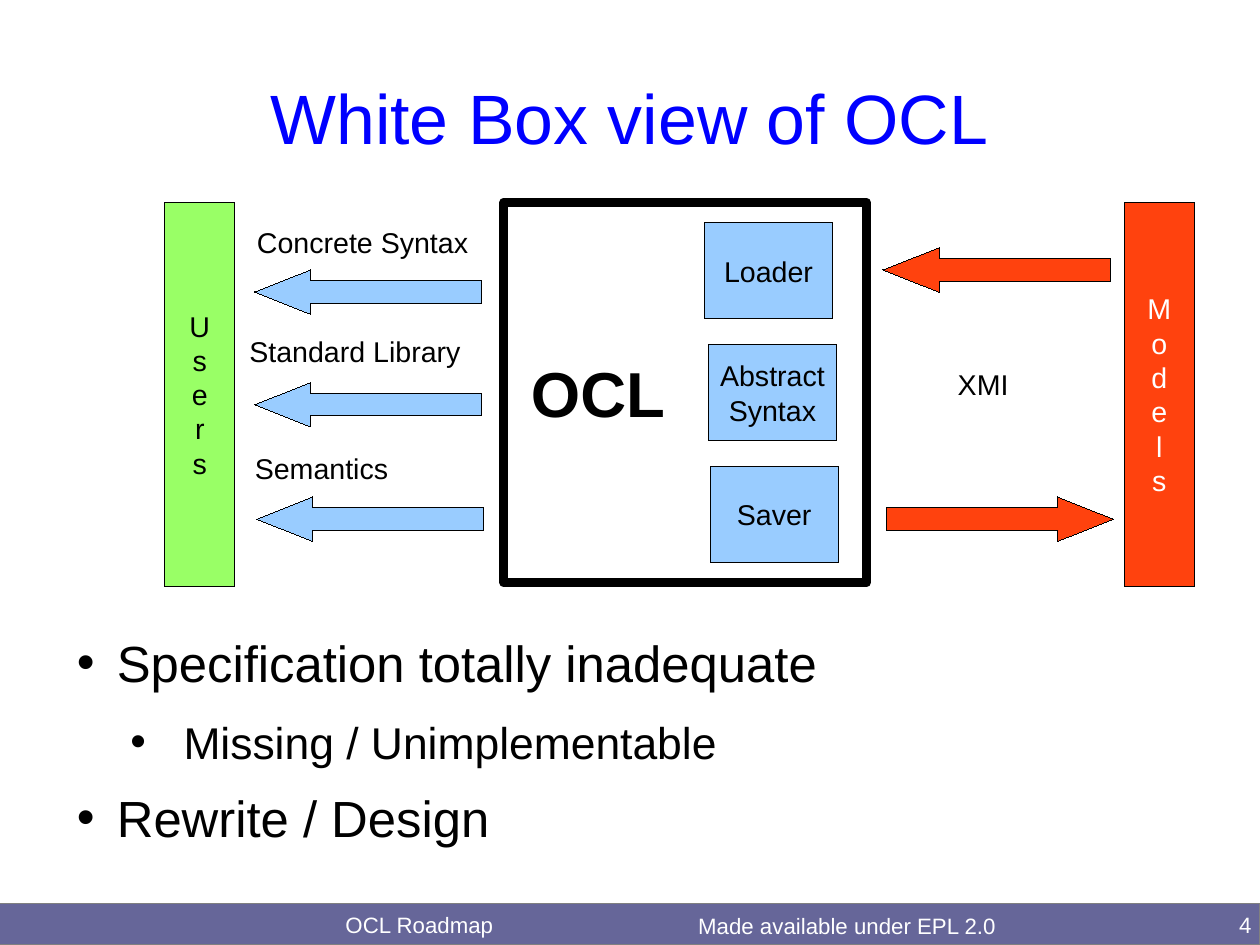
"""Build the slide that shows the white box view of OCL."""
from lxml import etree
from pptx import Presentation
from pptx.dml.color import RGBColor
from pptx.enum.shapes import MSO_SHAPE
from pptx.enum.text import MSO_ANCHOR, PP_ALIGN
from pptx.oxml.ns import qn
from pptx.util import Pt

RECT, LEFT_ARROW, RIGHT_ARROW = MSO_SHAPE.RECTANGLE, MSO_SHAPE.LEFT_ARROW, MSO_SHAPE.RIGHT_ARROW
TOP, MIDDLE = MSO_ANCHOR.TOP, MSO_ANCHOR.MIDDLE
LEFT, CENTER, RIGHT = PP_ALIGN.LEFT, PP_ALIGN.CENTER, PP_ALIGN.RIGHT
HEX = {
    "black": "000000", "white": "FFFFFF", "blue": "0000FF", "sky": "99CCFF",
    "green": "99FF66", "red": "FF420E", "slate": "666699", "gray": "808080",
}
COLOR = {name: RGBColor.from_string(code) for name, code in HEX.items()}


def write(shape, text, size=18, color="black", align=LEFT, anchor=TOP, inset=(7.2, 3.6), bold=False):
    frame = shape.text_frame
    frame.text = text
    frame.word_wrap = True
    frame.vertical_anchor = anchor
    frame.margin_left = frame.margin_right = Pt(inset[0])
    frame.margin_top = frame.margin_bottom = Pt(inset[1])
    for para in frame.paragraphs:
        para.alignment = align
        for run in para.runs:
            run.font.name = "Arial"
            run.font.size = Pt(size)
            run.font.bold = bold
            run.font.color.rgb = COLOR[color]


def draw(kind, box, fill, line="black", width=0.01):
    shape = slide.shapes.add_shape(kind, *map(Pt, box))
    shape.shadow.inherit = False
    shape.fill.solid()
    shape.fill.fore_color.rgb = COLOR[fill]
    shape.line.color.rgb = COLOR[line]
    shape.line.width = Pt(width)
    return shape


deck = Presentation()
deck.slide_width, deck.slide_height = Pt(793.7), Pt(595.3)
slide = deck.slides.add_slide(deck.slide_layouts[5])

title = slide.shapes.title
title.left, title.top, title.width, title.height = map(Pt, (39.6, 23.8, 714.2, 99.4))
write(title, "White Box view of OCL", 44, "blue", CENTER, MIDDLE, (0, 0))

draw(RECT, (0, 569.3, 793.7, 26), "slate", "gray")
for text, left, top, width, align, inset in (
    ("OCL Roadmap", 145.4, 574.3, 237.6, CENTER, (0, 0)),
    ("Made available under EPL 2.0", 432.7, 571, 202.3, LEFT, (7.2, 3.6)),
    ("4", 755.3, 574.3, 33.1, RIGHT, (0, 0)),
):
    note = slide.shapes.add_textbox(Pt(left), Pt(top), Pt(width), Pt(20))
    write(note, text, 14, "white", align, inset=inset)

core = draw(RECT, (317.5, 127.4, 228.2, 239.8), "white", width=5.67)
write(core, "OCL", 40, anchor=MIDDLE, inset=(17, 6.5), bold=True)

for text, left, top, width, height, fill, color in (
    ("\n".join("Users"), 103.9, 127.4, 43.9, 241.9, "green", "black"),
    ("\n".join("Models"), 708.3, 127.4, 43.9, 241.9, "red", "white"),
    ("Loader", 443.8, 140.4, 80.6, 60.3, "sky", "black"),
    ("Abstract\nSyntax", 446.3, 217.1, 80.6, 60.3, "sky", "black"),
    ("Saver", 447.4, 293.8, 80.6, 60.3, "sky", "black"),
):
    block = draw(RECT, (left, top, width, height), fill)
    write(block, text, 18, color, CENTER, MIDDLE)

for kind, left, top, fill in (
    (LEFT_ARROW, 160.4, 169.9, "sky"),
    (LEFT_ARROW, 160.4, 240.9, "sky"),
    (LEFT_ARROW, 161.7, 313, "sky"),
    (LEFT_ARROW, 556.2, 156, "red"),
    (RIGHT_ARROW, 558.4, 313, "red"),
):
    arrow = draw(kind, (left, top, 143, 28.1), fill)
    arrow.adjustments[0] = 0.5
    arrow.adjustments[1] = 1.26

for text, left, top in (
    ("Concrete Syntax", 154.8, 138.2),
    ("Standard Library", 150, 206.6),
    ("Semantics", 153.4, 280.8),
    ("XMI", 596.2, 227.5),
):
    label = slide.shapes.add_textbox(Pt(left), Pt(top), Pt(162), Pt(27.4))
    write(label, text)

points = (
    ("Specification totally inadequate", 0, 32, 34, 25.2, 14.2),
    ("Missing / Unimplementable", 1, 28, 76, 33.5, 11.3),
    ("Rewrite / Design", 0, 32, 34, 25.2, 14.2),
)
body = slide.shapes.add_textbox(Pt(39.6), Pt(397.8), Pt(714.2), Pt(133.9))
write(body, "\n".join(point[0] for point in points), inset=(0, 0))
for para, (text, level, size, margin, hang, after) in zip(body.text_frame.paragraphs, points):
    para.level = level
    para.space_after = Pt(after)
    para.runs[0].font.size = Pt(size)
    props = para._p.get_or_add_pPr()
    props.set("marL", str(Pt(margin)))
    props.set("indent", str(-Pt(hang)))
    etree.SubElement(props, qn("a:buFont")).set("typeface", "Arial")
    etree.SubElement(props, qn("a:buChar")).set("char", "•")

deck.save("out.pptx")
